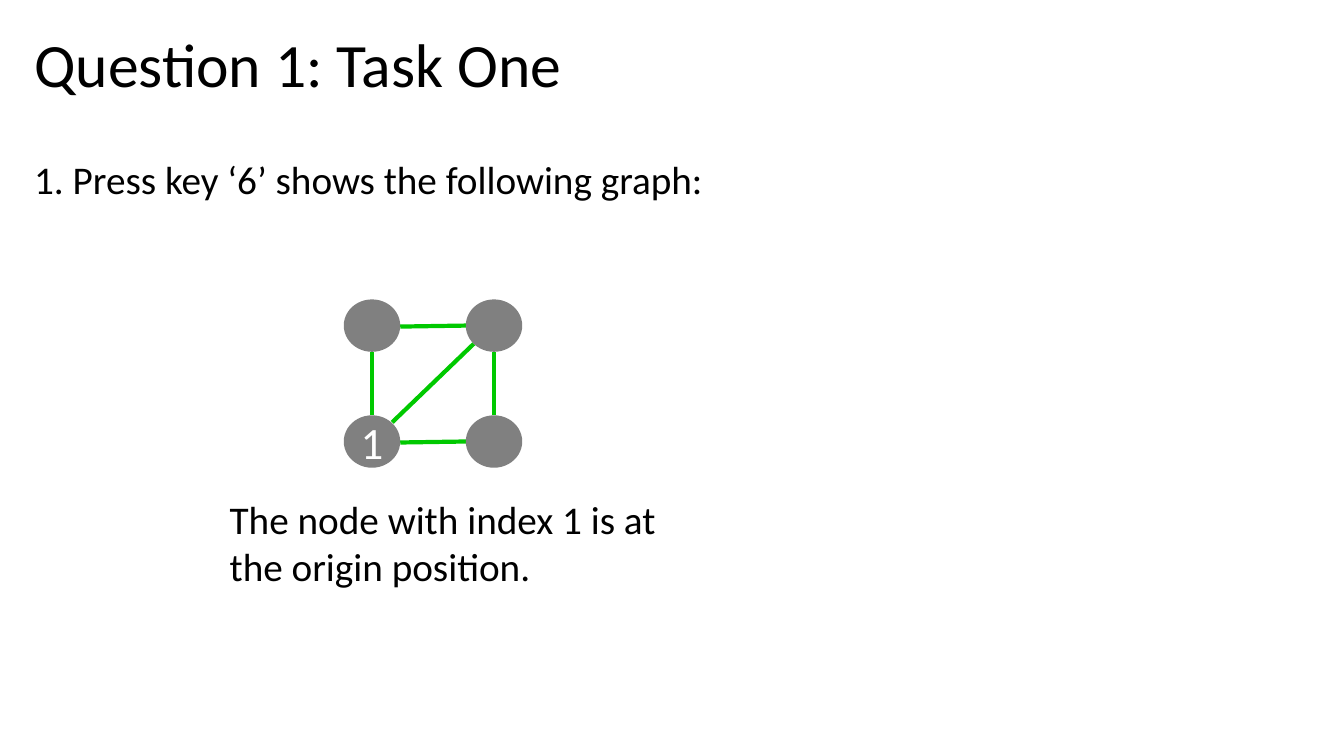
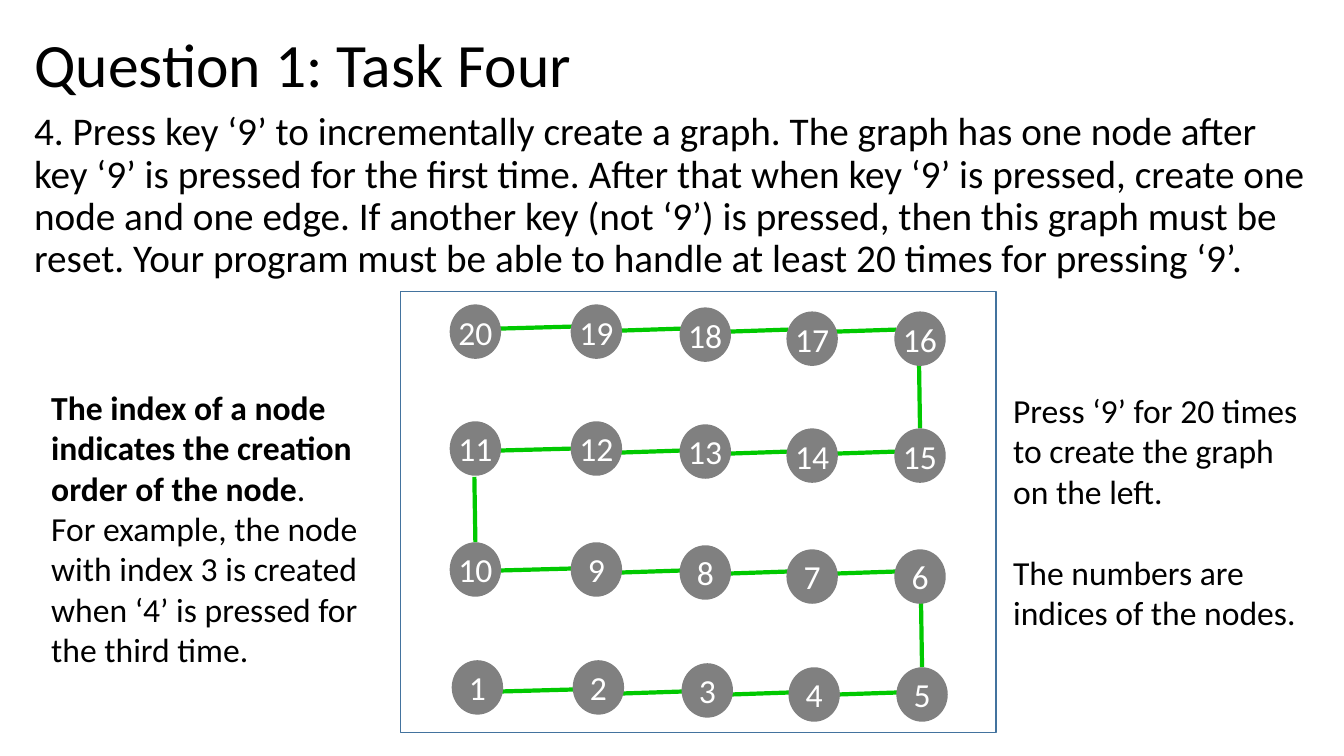
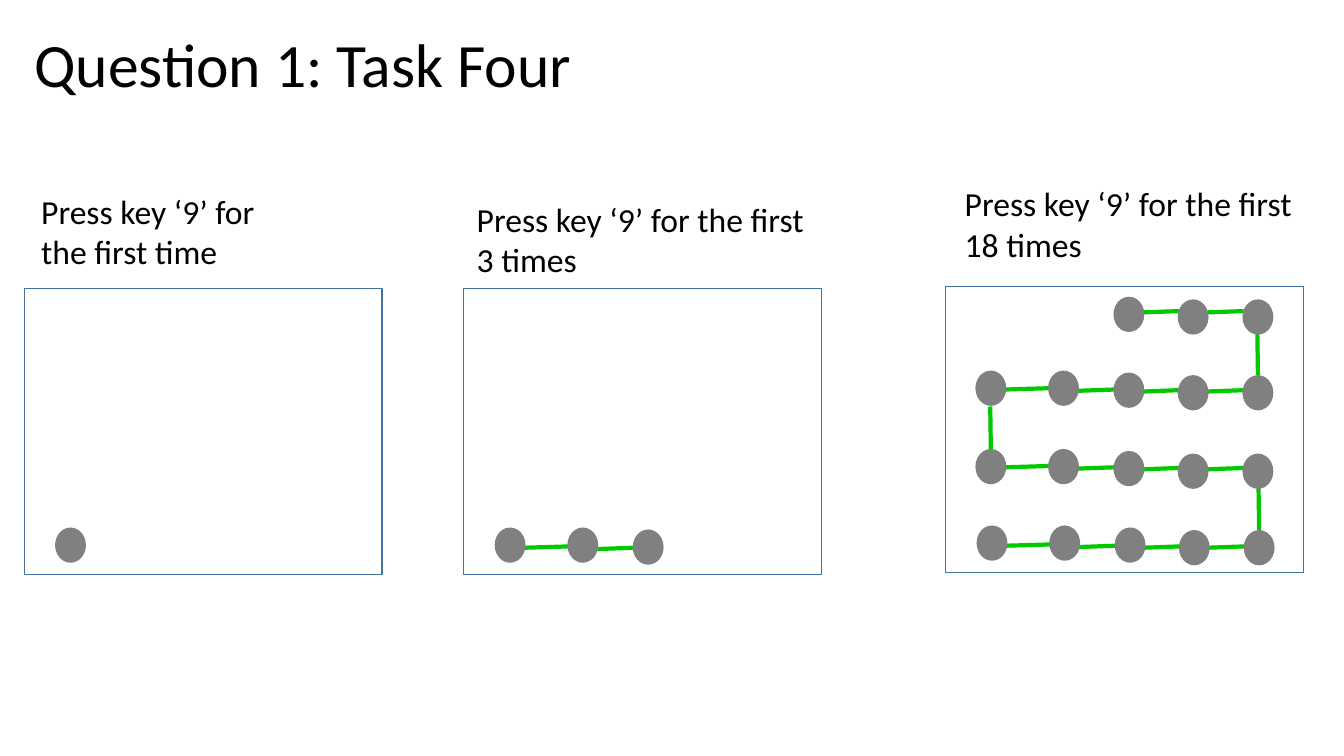
import pptx
import pptx.util
import pptx.dml.color
import pptx.enum.shapes
import pptx.enum.text
from lxml import etree
from pptx.oxml.ns import qn
from pptx.util import Inches

BLACK = pptx.dml.color.RGBColor(0x00, 0x00, 0x00)
WHITE = pptx.dml.color.RGBColor(0xFF, 0xFF, 0xFF)
NODE_GRAY = pptx.dml.color.RGBColor(0x80, 0x80, 0x80)
EDGE_GREEN = pptx.dml.color.RGBColor(0x00, 0xC9, 0x00)
PANEL_BLUE = pptx.dml.color.RGBColor(0x43, 0x73, 0x9E)
FONT_NAME = "Calibri"

PANEL_WIDTH, PANEL_HEIGHT = 5.91, 4.38
NODE_WIDTH, NODE_HEIGHT = 0.51, 0.54
COLUMN_LEFTS = (0.49, 1.69, 2.77, 3.83, 4.90)
COLUMN_DROPS = (0, 0, 0.03, 0.07, 0.07)
EDGE_DROPS = (0, 0.02, 0.03, 0.03)
ROW_TOPS = (3.66, 2.49, 1.29, 0.13)
ROW_SHIFTS = (0.02, 0, 0, 0)
ROW_EDGES = (3.97, 2.77, 1.58, 0.37)
EDGE_RISE = 0.02
VERTICAL_EDGE = 0.65


def format_paragraph(paragraph, size, color=BLACK):
    paragraph.font.name = FONT_NAME
    paragraph.font.size = pptx.util.Pt(size)
    paragraph.font.color.rgb = color


def add_titled_slide(presentation, title):
    slide = presentation.slides.add_slide(presentation.slide_layouts[5])
    shape = slide.shapes.title
    shape.left, shape.top = Inches(0.24), Inches(-0.05)
    shape.width, shape.height = Inches(11.5), Inches(1.45)
    frame = shape.text_frame
    frame.text = title
    frame.auto_size = pptx.enum.text.MSO_AUTO_SIZE.NONE
    frame.vertical_anchor = pptx.enum.text.MSO_ANCHOR.MIDDLE
    paragraph = frame.paragraphs[0]
    paragraph.alignment = pptx.enum.text.PP_ALIGN.LEFT
    paragraph.line_spacing = 0.9
    format_paragraph(paragraph, 44)
    return slide


def add_text(slide, box, texts, size=24, line_spacing=1.0, gap=0):
    frame = slide.shapes.add_textbox(*map(Inches, box)).text_frame
    frame.word_wrap = True
    for position, text in enumerate(texts):
        paragraph = frame.add_paragraph() if position else frame.paragraphs[0]
        paragraph.text = text
        paragraph.line_spacing = line_spacing
        if position:
            paragraph.space_before = pptx.util.Pt(gap)
        format_paragraph(paragraph, size)
    return frame


def add_node(slide, box, label="", size=24):
    node = slide.shapes.add_shape(pptx.enum.shapes.MSO_SHAPE.OVAL, *map(Inches, box))
    node.shadow.inherit = False
    node.fill.solid()
    node.fill.fore_color.rgb = NODE_GRAY
    node.line.fill.background()
    if label:
        frame = node.text_frame
        frame.margin_left = frame.margin_right = frame.margin_top = frame.margin_bottom = 0
        frame.word_wrap = False
        frame.vertical_anchor = pptx.enum.text.MSO_ANCHOR.MIDDLE
        frame.text = label
        frame.paragraphs[0].alignment = pptx.enum.text.PP_ALIGN.CENTER
        format_paragraph(frame.paragraphs[0], size, WHITE)


def add_edge(slide, start, end):
    edge = slide.shapes.add_connector(
        pptx.enum.shapes.MSO_CONNECTOR.STRAIGHT, *map(Inches, (*start, *end)))
    edge.line.color.rgb = EDGE_GREEN
    edge.line.width = pptx.util.Pt(3)
    etree.SubElement(edge._element.spPr, qn("a:effectLst"))


def add_panel(slide, box):
    panel = slide.shapes.add_shape(pptx.enum.shapes.MSO_SHAPE.RECTANGLE, *map(Inches, box))
    panel.shadow.inherit = False
    panel.fill.background()
    panel.line.color.rgb = PANEL_BLUE
    panel.line.width = pptx.util.Pt(1)


def snake_cell(index):
    row, step = divmod(index, len(COLUMN_LEFTS))
    return row, step if row % 2 == 0 else len(COLUMN_LEFTS) - 1 - step


def node_corner(row, column):
    return COLUMN_LEFTS[column] + ROW_SHIFTS[row], ROW_TOPS[row] + COLUMN_DROPS[column]


def snake_edge(cell, next_cell):
    if cell[0] == next_cell[0]:
        row = cell[0]
        first, second = sorted((cell[1], next_cell[1]))
        y = ROW_EDGES[row] + EDGE_DROPS[first]
        start = node_corner(row, first)[0] + NODE_WIDTH - 0.02, y
        return start, (node_corner(row, second)[0] + 0.02, y - EDGE_RISE)
    left, top = node_corner(*cell)
    x = left + NODE_WIDTH / 2
    return (x, top), (x - 0.01, top - VERTICAL_EDGE)


def add_snake_panel(slide, box, count, numbered=False):
    left, top, width, height = box
    scale_x, scale_y = width / PANEL_WIDTH, height / PANEL_HEIGHT

    def place(point):
        return left + point[0] * scale_x, top + point[1] * scale_y

    add_panel(slide, box)
    cells = [snake_cell(index) for index in range(count)]
    for cell, next_cell in zip(cells, cells[1:]):
        start, end = snake_edge(cell, next_cell)
        add_edge(slide, place(start), place(end))
    for number, cell in enumerate(cells, 1):
        node_box = (*place(node_corner(*cell)), NODE_WIDTH * scale_x, NODE_HEIGHT * scale_y)
        add_node(slide, node_box, str(number) if numbered else "")


def add_square_graph(slide, box):
    left, top, width, height = box
    node_width, node_height = 0.56, 0.52
    right, bottom = left + width - node_width, top + height - node_height
    middle_x, middle_y = node_width / 2, node_height / 2
    for y in (top, bottom):
        add_edge(slide, (left + node_width, y + middle_y + 0.01), (right, y + middle_y))
    for x in (left, right):
        add_edge(slide, (x + middle_x, bottom), (x + middle_x, top + node_height))
    add_edge(slide, (left + 0.48, bottom + 0.07), (right + 0.08, top + 0.44))
    for x, y, label in ((left, top, ""), (right, top, ""),
                        (left, bottom, "1"), (right, bottom, "")):
        add_node(slide, (x, y, node_width, node_height), label, 32)


def build_task_one(presentation):
    slide = add_titled_slide(presentation, "Question 1: Task One")
    add_text(slide, (0.24, 1.54, 12.89, 0.91),
             ["1. Press key ‘6’ shows the following graph:"], 28, 0.9)
    add_square_graph(slide, (3.41, 2.97, 1.77, 1.67))
    add_text(slide, (2.18, 4.86, 4.5, 1.04),
             ["The node with index 1 is at the origin position."], 28)


def build_task_four(presentation):
    slide = add_titled_slide(presentation, "Question 1: Task Four")
    add_text(slide, (0.24, 1.06, 12.85, 1.91), [
        "4. Press key ‘9’ to incrementally create a graph. The graph has one node after "
        "key ‘9’ is pressed for the first time. After that when key ‘9’ is pressed, create "
        "one node and one edge. If another key (not ‘9’) is pressed, then this graph must "
        "be reset. Your program must be able to handle at least 20 times for pressing ‘9’."
    ], 28, 0.9)
    add_snake_panel(slide, (3.97, 2.89, PANEL_WIDTH, PANEL_HEIGHT), 20, numbered=True)
    index_note = add_text(slide, (0.41, 3.79, 3.44, 2.93), [
        "The index of a node indicates the creation order of the node",
        "For example, the node with index 3 is created when ‘4’ is pressed for the third time."])
    opening = index_note.paragraphs[0]
    opening.runs[0].font.bold = True
    opening.add_run().text = "."
    add_text(slide, (9.95, 3.82, 3.03, 2.52), [
        "Press ‘9’ for 20 times to create the graph on the left.",
        "The numbers are indices of the nodes."], gap=29)


def build_task_four_steps(presentation):
    slide = add_titled_slide(presentation, "Question 1: Task Four")
    steps = (
        ("Press key ‘9’ for the first time", (0.31, 1.84, 2.62, 0.91), (0.24, 2.86), 1),
        ("Press key ‘9’ for the first 3 times", (4.63, 1.92, 3.52, 0.91), (4.6, 2.86), 3),
        ("Press key ‘9’ for the first 18 times", (9.47, 1.77, 3.46, 0.91), (9.38, 2.84), 18),
    )
    for caption, caption_box, panel_corner, count in steps:
        add_text(slide, caption_box, [caption])
        add_snake_panel(slide, (*panel_corner, 3.55, 2.84), count)


def main():
    presentation = pptx.Presentation()
    presentation.slide_width = Inches(13.33)
    presentation.slide_height = Inches(7.5)
    build_task_one(presentation)
    build_task_four(presentation)
    build_task_four_steps(presentation)
    presentation.save("out.pptx")


if __name__ == "__main__":
    main()
